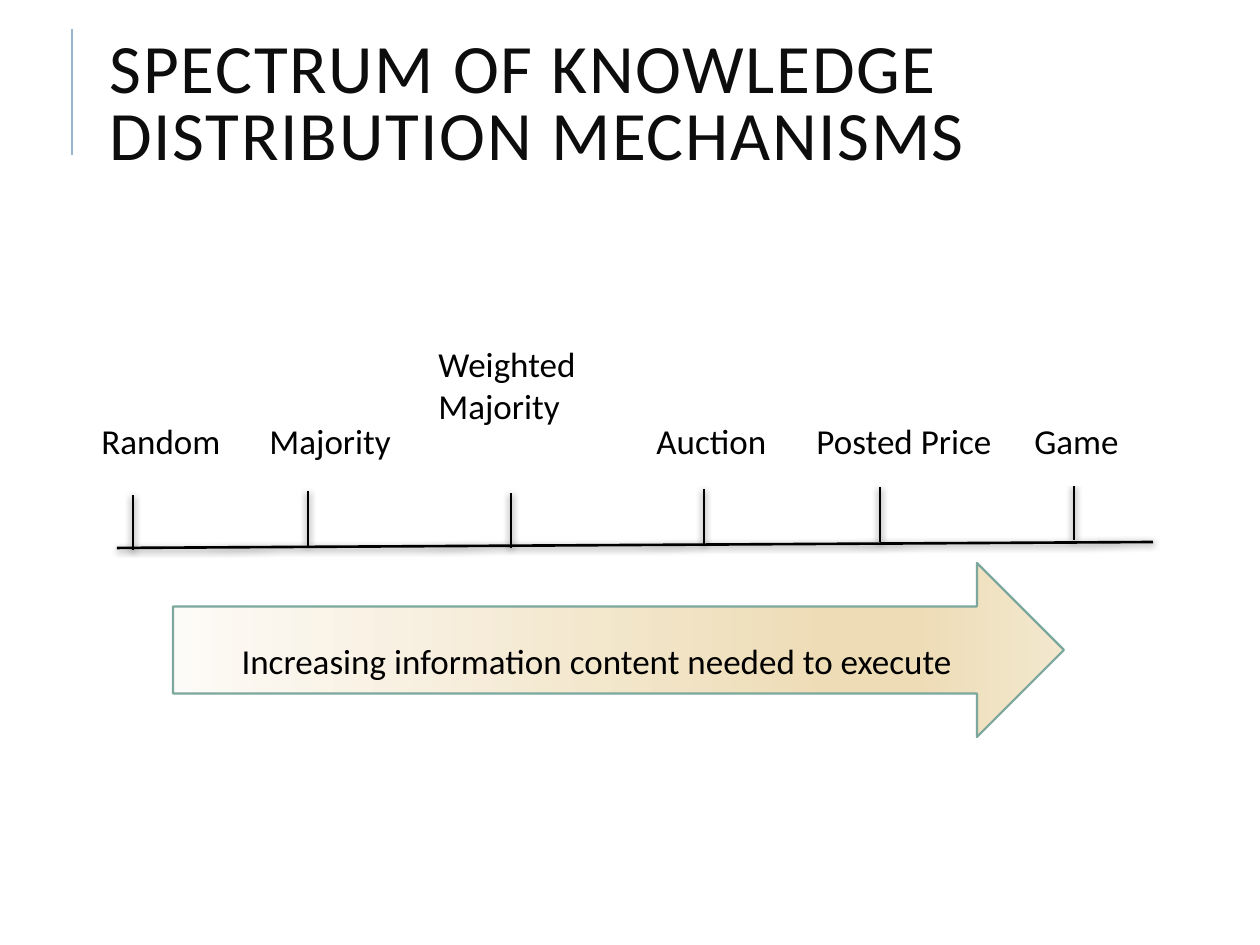
"""Build the slide on the spectrum of knowledge distribution mechanisms."""
from lxml import etree
from pptx import Presentation
from pptx.dml.color import RGBColor
from pptx.enum.shapes import MSO_CONNECTOR, MSO_SHAPE
from pptx.enum.text import MSO_ANCHOR, MSO_AUTO_SIZE, PP_ALIGN
from pptx.oxml import parse_xml
from pptx.util import Emu, Pt

PX = 914400 / 126
NS = "http://schemas.openxmlformats.org/drawingml/2006/main"
COLORS = {"accent": "94B6D2", "title": "0D0D0D", "ink": "000000", "paper": "FFFFFF", "edge": "7BA79D"}
FADE = [(0, "FDFBF7"), (74, "EDDCB6"), (83, "EDDCB6"), (100, "F3E8CE")]
BODY = {"line_spacing": 1.5, "space_after": Pt(18), "alignment": PP_ALIGN.LEFT}
LABELS = [
    ("Random", 89, 392, 145, 94, False, BODY),
    ("Majority", 257, 392, 146, 95, False, BODY),
    ("Weighted Majority", 426, 336, 200, 151, True, {"alignment": PP_ALIGN.LEFT}),
    ("Auction", 644, 392, 136, 94, False, BODY),
    ("Posted Price", 804, 392, 195, 94, False, BODY),
    ("Game", 1022, 392, 113, 94, False, BODY),
]
TICKS = [(133, 550, 495), (308, 546, 491), (511, 548, 493), (704, 544, 489), (880, 542, 487), (1074, 540, 485)]


def draw_line(shapes, points, color, shadow=""):
    line = shapes.add_connector(MSO_CONNECTOR.STRAIGHT, *[Emu(round(p * PX)) for p in points])
    line.line.color.rgb = RGBColor.from_string(COLORS[color])
    line.line.width = Pt(1.5)
    line._element.spPr.append(parse_xml(f'<a:effectLst xmlns:a="{NS}">{shadow}</a:effectLst>'))


def write_text(shape, text, size, color, wrap, anchor, paragraph_format):
    frame = shape.text_frame
    frame.text = text
    frame_format = {"word_wrap": wrap, "vertical_anchor": anchor, "auto_size": MSO_AUTO_SIZE.NONE}
    paragraph = frame.paragraphs[0]
    font = paragraph.runs[0].font
    font_format = {"name": "Calibri", "size": Pt(size)}
    for target, values in ((frame, frame_format), (paragraph, paragraph_format), (font, font_format)):
        for name, value in values.items():
            setattr(target, name, value)
    font.color.rgb = RGBColor.from_string(COLORS[color])


deck = Presentation()
deck.slide_width, deck.slide_height = Emu(round(1260 * PX)), Emu(round(945 * PX))
slide = deck.slides.add_slide(deck.slide_layouts[5])

draw_line(slide.shapes, (72, 155, 72, 29), "accent")
title = slide.shapes.title
for side, length in {"left": 97, "top": 32, "width": 1004, "height": 150}.items():
    setattr(title, side, Emu(round(length * PX)))
write_text(title, "SPECTRUM OF KNOWLEDGE DISTRIBUTION MECHANISMS", 39.6, "title", True,
           MSO_ANCHOR.MIDDLE, {"line_spacing": 0.8, "alignment": PP_ALIGN.LEFT})
title.text_frame.paragraphs[0].runs[0].font._element.set("spc", "100")

spectrum = slide.shapes.add_group_shape().shapes
soft_shadow = (
    '<a:outerShdw blurRad="50800" dist="12700" dir="5400000" rotWithShape="0">'
    f'<a:srgbClr val="{COLORS["ink"]}"><a:alpha val="50000"/></a:srgbClr></a:outerShdw>'
)
draw_line(spectrum, (117, 548, 1153, 542), "ink", soft_shadow)
for x, bottom, top in TICKS:
    draw_line(spectrum, (x, bottom, x, top), "ink", soft_shadow)

for mechanism, left, top, width, height, wrap, paragraph_format in LABELS:
    label = spectrum.add_textbox(*[Emu(round(v * PX)) for v in (left, top, width, height)])
    label.fill.solid()
    label.fill.fore_color.rgb = RGBColor.from_string(COLORS["paper"])
    write_text(label, mechanism, 20, "ink", wrap, MSO_ANCHOR.TOP, paragraph_format)

information = spectrum.add_shape(MSO_SHAPE.RIGHT_ARROW, *[Emu(round(v * PX)) for v in (173, 563, 891, 174)])
information.shadow.inherit = False
information.line.color.rgb = RGBColor.from_string(COLORS["edge"])
information.line.width = Pt(1.25)
information.fill.gradient()
information.fill.gradient_angle = 0
stops = information._element.spPr.find(f".//{{{NS}}}gsLst")
for stop in list(stops):
    stops.remove(stop)
for percent, color in FADE:
    stop = etree.SubElement(stops, f"{{{NS}}}gs", pos=str(percent * 1000))
    etree.SubElement(stop, f"{{{NS}}}srgbClr", val=color)
write_text(information, "Increasing information content needed to execute", 20, "ink", True,
           MSO_ANCHOR.MIDDLE, BODY | {"alignment": PP_ALIGN.CENTER})

deck.save("out.pptx")
